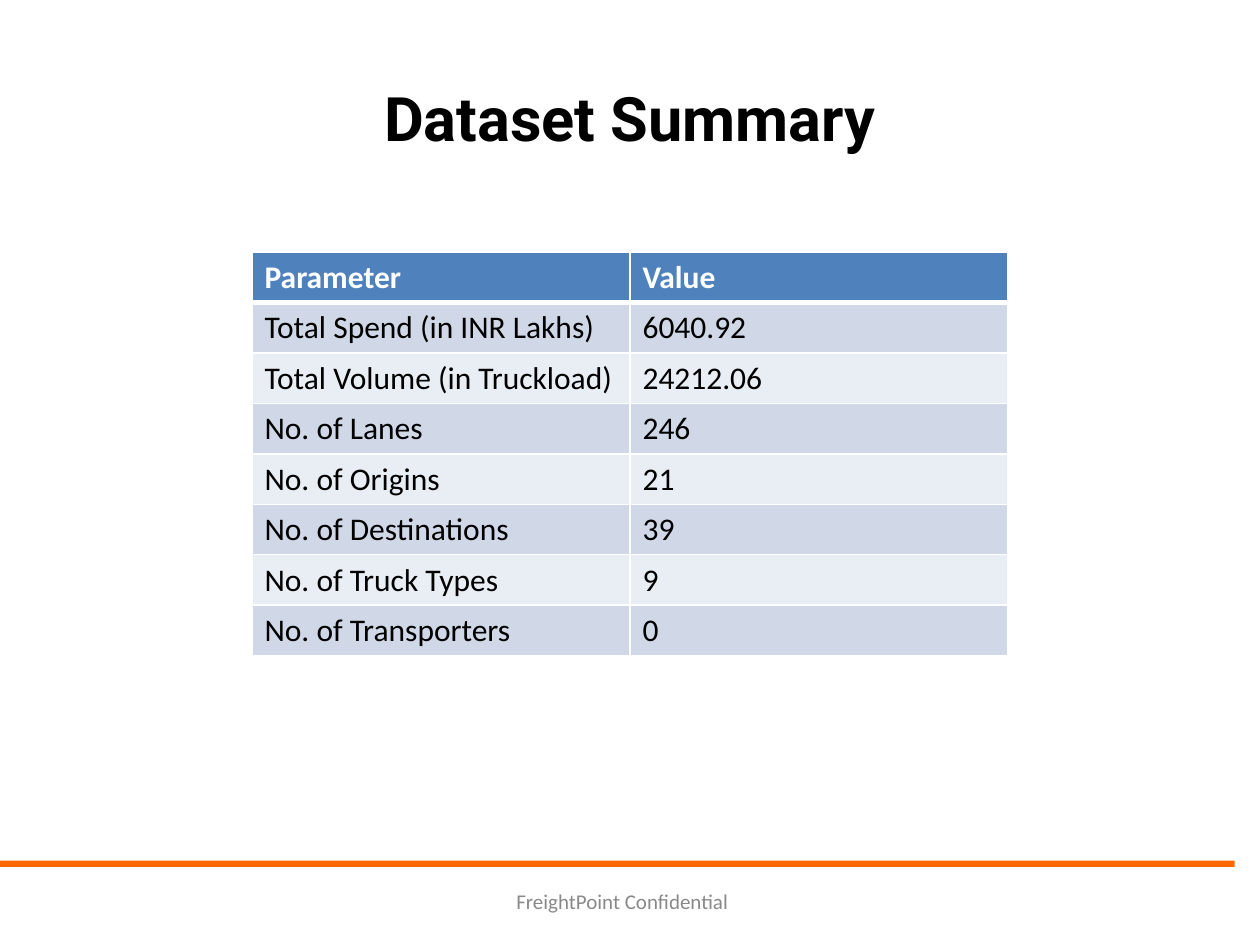
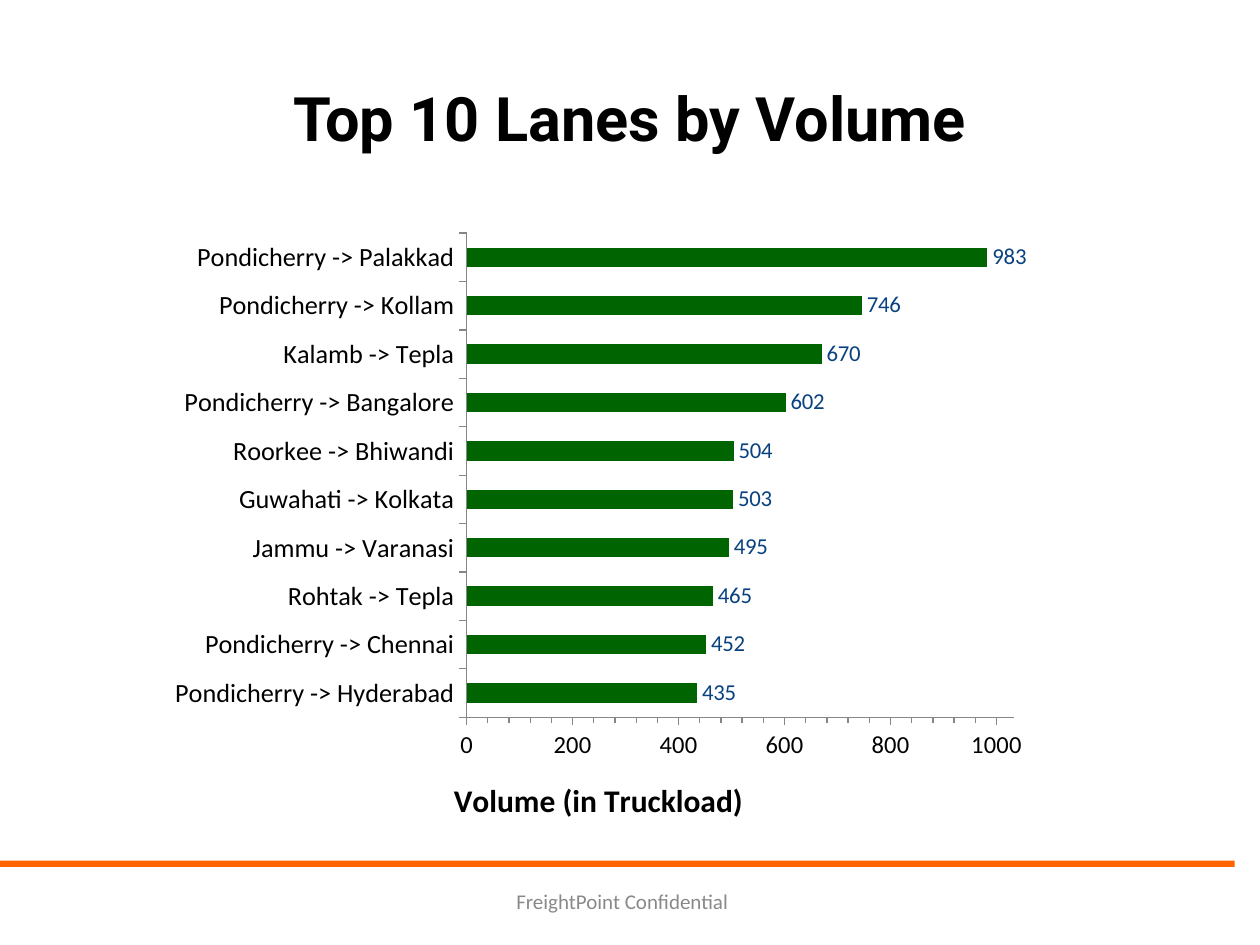
from lxml import etree
from pptx import Presentation, util as u
from pptx.chart.data import CategoryChartData
from pptx.dml.color import RGBColor
from pptx.enum import chart as ch, shapes, text
from pptx.oxml.ns import qn

# Content
FOOT = "FreightPoint Confidential"
TITLES = ["Dataset Summary", "Top 10 Lanes by Volume"]
ROWS = [
    ("Parameter", "Value"),
    ("Total Spend (in INR Lakhs)", "6040.92"),
    ("Total Volume (in Truckload)", "24212.06"),
    ("No. of Lanes", "246"),
    ("No. of Origins", "21"),
    ("No. of Destinations", "39"),
    ("No. of Truck Types", "9"),
    ("No. of Transporters", "0"),
]
LANES = [
    ("Pondicherry -> Hyderabad", 435), ("Pondicherry -> Chennai", 452),
    ("Rohtak -> Tepla", 465), ("Jammu -> Varanasi", 495),
    ("Guwahati -> Kolkata", 503), ("Roorkee -> Bhiwandi", 504),
    ("Pondicherry -> Bangalore", 602), ("Kalamb -> Tepla", 670),
    ("Pondicherry -> Kollam", 746), ("Pondicherry -> Palakkad", 983),
]
AXIS = "Volume (in Truckload)"

# Shared look
BLACK, WHITE, GREY, LINE = "000000", "FFFFFF", "898989", "868686"
BAND, HEAD, BAR, LABEL = "FF6600", "4F81BD", "006400", "0A4280"
STRIPES = ["E9EDF4", "D0D8E8"]
WIDE, HIGH = 10, 7.5


def rgb(code):
    return RGBColor.from_string(code)


def inch(*nums):
    return [u.Inches(n) for n in nums]


def put(obj, **vals):
    for key, val in vals.items():
        setattr(obj, key, val)


def style(font, size, color=BLACK, name="Calibri", bold=False):
    put(font, size=u.Pt(size), name=name, bold=bold)
    font.color.rgb = rgb(color)


def paint(fill, color):
    fill.solid()
    fill.fore_color.rgb = rgb(color)


def edge(cell, sides):
    """Give the cell white borders; sides maps a side to its points."""
    props = cell._tc.get_or_add_tcPr()
    for i, (side, size) in enumerate(sides.items()):
        ln = etree.Element(qn("a:ln" + side), w=str(u.Pt(size)))
        solid = etree.SubElement(ln, qn("a:solidFill"))
        etree.SubElement(solid, qn("a:srgbClr"), val=WHITE)
        props.insert(i, ln)


def band(slide, master):
    """Draw the orange rule and move it to the master."""
    rule = slide.shapes.add_shape(
        shapes.MSO_SHAPE.RECTANGLE, *inch(0, 6.83, WIDE * 0.98, 0.05))
    rule.shadow.inherit = False
    paint(rule.fill, BAND)
    rule.line.fill.background()
    master.element.cSld.spTree.append(rule._element)


def page(prs, title):
    slide = prs.slides.add_slide(prs.slide_layouts[5])
    head = slide.shapes.title
    spot = inch(WIDE * 0.05, 0.3, WIDE * 0.9, 1.25)
    put(head, **dict(zip(("left", "top", "width", "height"), spot)))
    head.text_frame.text = title
    head.text_frame.vertical_anchor = text.MSO_ANCHOR.MIDDLE
    par = head.text_frame.paragraphs[0]
    par.alignment = text.PP_ALIGN.CENTER
    style(par.runs[0].font, 35, name="Roboto", bold=True)

    # Footer
    left, top = WIDE * 0.4, 6.7
    box = slide.shapes.add_textbox(*inch(left, top, WIDE - left, HIGH - top))
    put(box.text_frame, word_wrap=True, text=FOOT, margin_top=u.Inches(0.35))
    style(box.text_frame.paragraphs[0].runs[0].font, 12, GREY)
    return slide


def summary(slide):
    table = slide.shapes.add_table(
        len(ROWS), 2, *inch(WIDE * 0.2, 2, WIDE * 0.6, 2)).table
    for r, row in enumerate(ROWS):
        top = r == 0
        for c, word in enumerate(row):
            cell = table.cell(r, c)
            cell.text = word
            style(cell.text_frame.paragraphs[0].runs[0].font, 18,
                  WHITE if top else BLACK, bold=top)
            paint(cell.fill, HEAD if top else STRIPES[r % 2])
            edge(cell, dict(L=1, R=1, T=1, B=3) if top
                 else dict(L=1, R=1, B=1))


def lanes(slide):
    data = CategoryChartData()
    data.categories = [name for name, _ in LANES]
    data.add_series("Series 1", [val for _, val in LANES])
    chart = slide.shapes.add_chart(
        ch.XL_CHART_TYPE.BAR_CLUSTERED, *inch(1.25, 1.75, 7, 5), data).chart
    put(chart, has_legend=False, has_title=False)
    style(chart.font, 18)

    # Bars and labels
    plot = chart.plots[0]
    put(plot, gap_width=150, vary_by_categories=False, has_data_labels=True)
    paint(plot.series[0].format.fill, BAR)
    put(plot.data_labels, show_value=True,
        position=ch.XL_LABEL_POSITION.OUTSIDE_END)
    style(plot.data_labels.font, 13, LABEL)

    # Axes
    out = ch.XL_TICK_MARK.OUTSIDE
    for axis, size in ((chart.category_axis, 15), (chart.value_axis, 14)):
        put(axis, has_major_gridlines=False, major_tick_mark=out,
            minor_tick_mark=out)
        style(axis.tick_labels.font, size)
        axis.format.line.color.rgb = rgb(LINE)
    chart.category_axis.minor_tick_mark = ch.XL_TICK_MARK.NONE
    axis = chart.value_axis
    put(axis, minimum_scale=0, maximum_scale=1032.15, major_unit=200,
        minor_unit=40)
    frame = axis.axis_title.text_frame
    frame.text = AXIS
    style(frame.paragraphs[0].runs[0].font, 18, bold=True)


# Build
prs = Presentation()
prs.slide_width, prs.slide_height = inch(WIDE, HIGH)
pages = [page(prs, title) for title in TITLES]
band(pages[0], prs.slide_master)
for fill, slide in zip((summary, lanes), pages):
    fill(slide)
prs.save("out.pptx")
